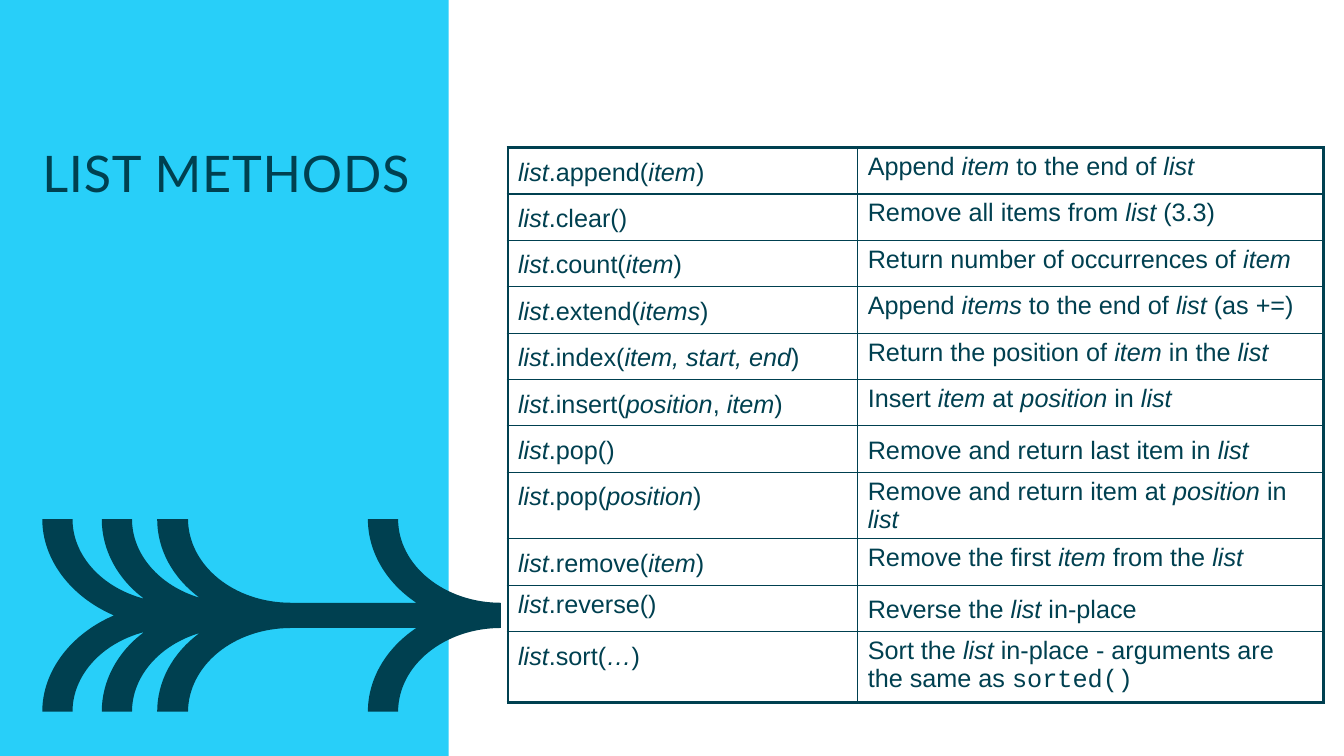
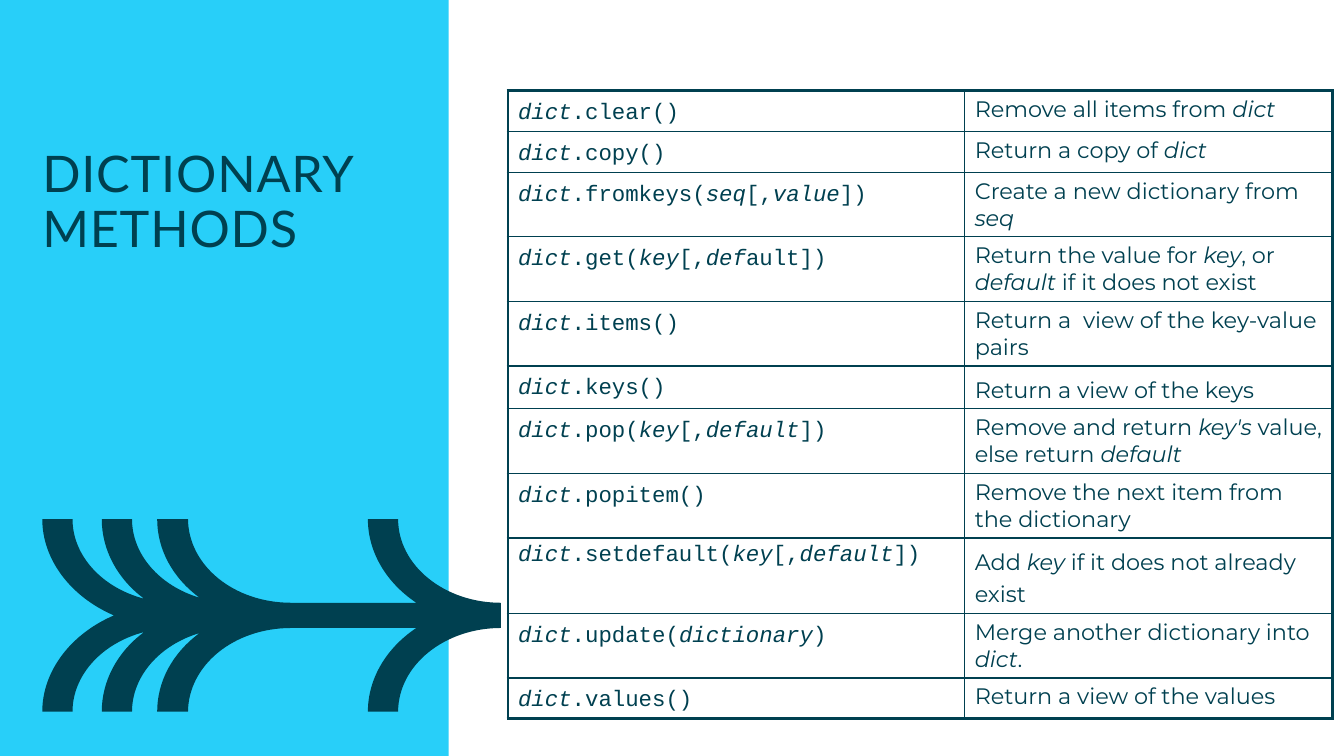
from lxml import etree
from pptx import Presentation
from pptx.dml.color import RGBColor
from pptx.enum.shapes import MSO_SHAPE
from pptx.enum.text import MSO_ANCHOR, MSO_AUTO_SIZE
from pptx.oxml import parse_xml
from pptx.oxml.ns import nsdecls, qn
from pptx.util import Pt

RECTANGLE = MSO_SHAPE.RECTANGLE
TOP = MSO_ANCHOR.TOP
NO_AUTOFIT = MSO_AUTO_SIZE.NONE

SKY = RGBColor(0x28, 0xCF, 0xF9)
INK = RGBColor(0x00, 0x40, 0x50)
WHITE = RGBColor(0xFF, 0xFF, 0xFF)

TITLE_FONT = "Lato"
CODE_FONT = "Courier New"
SLIDE_SIZE = (960, 540)
BAND_WIDTH = 320.4
TITLE_BOX = (30.2, 106.5, 271.4, 216.7)
TABLE_LEFT = 362.9
OUTER_LINE, INNER_LINE = 2.25, 1

# Paragraph spacing: line spacing and percent of space before
LOOSE, TIGHT = (1.2, 60), (None, 20)
NORMAL, BOTH_LOOSE, SWAPPED = (LOOSE, TIGHT), (LOOSE, LOOSE), (TIGHT, LOOSE)

# Upper half of the arrow: x and height above its axis.
# One point is a straight line, three points are a Bezier curve.
ARROW_AXIS = 439.6
ARROW_START = (81.4, 0)
ARROW_UPPER = [
    [(50.4, 13.3), (30.2, 40), (30.2, 68.8)],
    [(51.8, 68.8)],
    [(51.8, 42.8), (72.7, 19.8), (103, 11.9)],
    [(83.5, 26.3), (72.7, 47.2), (72.7, 68.8)],
    [(94.3, 68.8)],
    [(94.3, 43.6), (113.8, 21.2), (142.6, 12.6)],
    [(123.1, 27), (112.3, 47.2), (112.3, 68.8)],
    [(134.3, 68.8)],
    [(134.6, 35.6), (167, 9), (208.1, 9)],
    [(297.4, 9)],
    [(275.8, 23.4), (262.8, 45.4), (262.8, 68.8)],
    [(284.4, 68.8)],
    [(284.4, 35.6), (317.5, 9), (357.8, 9)],
]

# In cell text, *stars* enclose italics and `ticks` enclose code.
SLIDES = [
    {
        "title": "LIST METHODS",
        "top": 105.4, "columns": (249.8, 332.6), "row": 33.14, "last_row": 50.6,
        "size": 18, "fonts": ("Arial", "Arial"),
        "rows": [
            ("*list*.append(*item*)", "Append *item* to the end of *list*", NORMAL),
            ("*list*.clear()", "Remove all items from *list *(3.3)", NORMAL),
            ("*list*.count(*item*)", "Return number of occurrences of *item*", NORMAL),
            ("*list*.extend(*items*)", "Append *items* to the end of *list *(as +=)", NORMAL),
            ("*list*.index(*item, start, end*)", "Return the position of *item* in the *list*", NORMAL),
            ("*list*.insert(*position*, *item*)", "Insert *item* at *position* in *list*", NORMAL),
            ("*list*.pop()", "Remove and return last item in *list*", BOTH_LOOSE),
            ("*list*.pop(*position*)", "Remove and return item at *position* in *list*", NORMAL),
            ("*list*.remove(*item*)", "Remove the first *item* from the *list*", NORMAL),
            ("*list*.reverse()", "Reverse the *list* in-place", SWAPPED),
            ("*list*.sort(*…*)", "Sort the *list* in-place - arguments are the same as `sorted()`", NORMAL),
        ],
    },
    {
        "title": "DICTIONARY METHODS",
        "top": 64.7, "columns": (326.2, 262.5), "row": 29.2, "last_row": 29.2,
        "size": 16, "fonts": (CODE_FONT, "Montserrat"),
        "rows": [
            ("*dict*.clear()", "Remove all items from *dict*", NORMAL),
            ("*dict*.copy()", "Return a copy of *dict*", NORMAL),
            ("*dict*.fromkeys(*seq*[,*value*])", "Create a new dictionary from *seq*", NORMAL),
            ("*dict*.get(*key*[,*def*ault])", "Return the value for *key*, or *default *if it does not exist", NORMAL),
            ("*dict*.items()", "Return a  view of the key-value pairs", NORMAL),
            ("*dict*.keys()", "Return a view of the keys", BOTH_LOOSE),
            ("*dict*.pop(*key*[,*default*])", "Remove and return *key's *value, else return *default*", NORMAL),
            ("*dict*.popitem()", "Remove the next item from the dictionary", NORMAL),
            ("*dict*.setdefault(*key*[,*default*])", "Add *key* if it does not already exist", SWAPPED),
            ("*dict*.update(*dictionary*)", "Merge another dictionary into *dict*.", NORMAL),
            ("*dict*.values()", "Return a view of the values", NORMAL),
        ],
    },
]


def paint(sp, color):
    sp.shadow.inherit = False
    sp.fill.solid()
    sp.fill.fore_color.rgb = color
    sp.line.fill.background()


def arrow_segments():
    """Return the upper half, the tip, and the upper half mirrored and run backwards."""
    starts = [ARROW_START] + [segment[-1] for segment in ARROW_UPPER]
    lower = []
    for start, segment in reversed(list(zip(starts, ARROW_UPPER))):
        backwards = [*reversed(segment[:-1]), start]
        lower.append([(x, -y) for x, y in backwards])
    tip_x, tip_y = starts[-1]
    return ARROW_UPPER + [[(tip_x, -tip_y)]] + lower


def to_slide(point):
    return Pt(point[0]), Pt(ARROW_AXIS - point[1])


def add_arrow(shapes):
    """Build the outline from its corners, then bend the sides that are curves."""
    segments = arrow_segments()
    builder = shapes.build_freeform(*to_slide(ARROW_START))
    builder.add_line_segments([to_slide(segment[-1]) for segment in segments], close=True)
    arrow = builder.convert_to_shape()
    for line, segment in zip(arrow.element.xpath(".//a:lnTo"), segments):
        if len(segment) == 1:
            continue
        curve = etree.Element(qn("a:cubicBezTo"))
        for x, y in map(to_slide, segment):
            etree.SubElement(curve, qn("a:pt"), x=str(x - arrow.left), y=str(y - arrow.top))
        line.getparent().replace(line, curve)
    return arrow


def decorate_layout(layout, shapes):
    """Draw band and arrow, and move them behind the layout's placeholders."""
    band = shapes.add_shape(RECTANGLE, 0, 0, Pt(BAND_WIDTH), Pt(SLIDE_SIZE[1]))
    arrow = add_arrow(shapes)
    for index, (sp, color) in enumerate(((band, SKY), (arrow, INK)), start=2):
        paint(sp, color)
        layout.shapes.element.insert(index, sp.element)


def style_layout_title(layout):
    title = layout.placeholders[0]
    title.left, title.top, title.width, title.height = map(Pt, TITLE_BOX)
    tf = title.text_frame
    tf.margin_left = tf.margin_right = tf.margin_top = tf.margin_bottom = 0
    tf.vertical_anchor = TOP
    tf.word_wrap = True
    tf.auto_size = NO_AUTOFIT
    title.element.xpath(".//a:lstStyle")[0].append(parse_xml(
        f'<a:lvl1pPr algn="l" {nsdecls("a")}><a:lnSpc><a:spcPct val="90000"/></a:lnSpc>'
        f'<a:defRPr sz="3600" spc="60"><a:solidFill><a:srgbClr val="{INK}"/></a:solidFill>'
        f'<a:latin typeface="{TITLE_FONT}"/></a:defRPr></a:lvl1pPr>'))


def write_cell(cell, text, font, size, spacing):
    p = cell.text_frame.paragraphs[0]
    line_spacing, percent_before = spacing
    p.line_spacing = line_spacing
    before = etree.SubElement(p._p.get_or_add_pPr(), qn("a:spcBef"))
    etree.SubElement(before, qn("a:spcPct"), val=str(percent_before * 1000))
    for i, part in enumerate(text.split("*")):
        for j, piece in enumerate(part.split("`")):
            if not piece:
                continue
            r = p.add_run()
            r.text = piece
            r.font.name = CODE_FONT if j % 2 else font
            r.font.size = Pt(size)
            r.font.italic = bool(i % 2)
            r.font.color.rgb = INK


def set_borders(cell, outer_sides):
    tcPr = cell._tc.get_or_add_tcPr()
    for side, is_outer in zip("LRTB", outer_sides):
        width = Pt(OUTER_LINE if is_outer else INNER_LINE)
        tcPr.append(parse_xml(
            f'<a:ln{side} w="{width}" {nsdecls("a")}><a:solidFill>'
            f'<a:srgbClr val="{INK}"/></a:solidFill></a:ln{side}>'))


def add_method_table(slide, content):
    rows, columns = content["rows"], content["columns"]
    last = len(rows) - 1
    heights = [content["row"]] * last + [content["last_row"]]
    table = slide.shapes.add_table(
        len(rows), len(columns), Pt(TABLE_LEFT), Pt(content["top"]),
        Pt(sum(columns)), Pt(sum(heights))).table
    table.first_row = table.horz_banding = False
    for column, width in zip(table.columns, columns):
        column.width = Pt(width)
    for r, (method, description, spacings) in enumerate(rows):
        table.rows[r].height = Pt(heights[r])
        for c, text in enumerate((method, description)):
            cell = table.cell(r, c)
            write_cell(cell, text, content["fonts"][c], content["size"], spacings[c])
            set_borders(cell, (c == 0, c == 1, r == 0, r == last))
            cell.fill.solid()
            cell.fill.fore_color.rgb = WHITE


def main():
    prs = Presentation()
    prs.slide_width, prs.slide_height = map(Pt, SLIDE_SIZE)
    layout = prs.slide_layouts.get_by_name("Title Only")
    style_layout_title(layout)
    for number, content in enumerate(SLIDES):
        slide = prs.slides.add_slide(layout)
        if number == 0:
            decorate_layout(layout, slide.shapes)
        slide.shapes.title.text_frame.text = content["title"]
        add_method_table(slide, content)
    prs.save("out.pptx")


if __name__ == "__main__":
    main()
